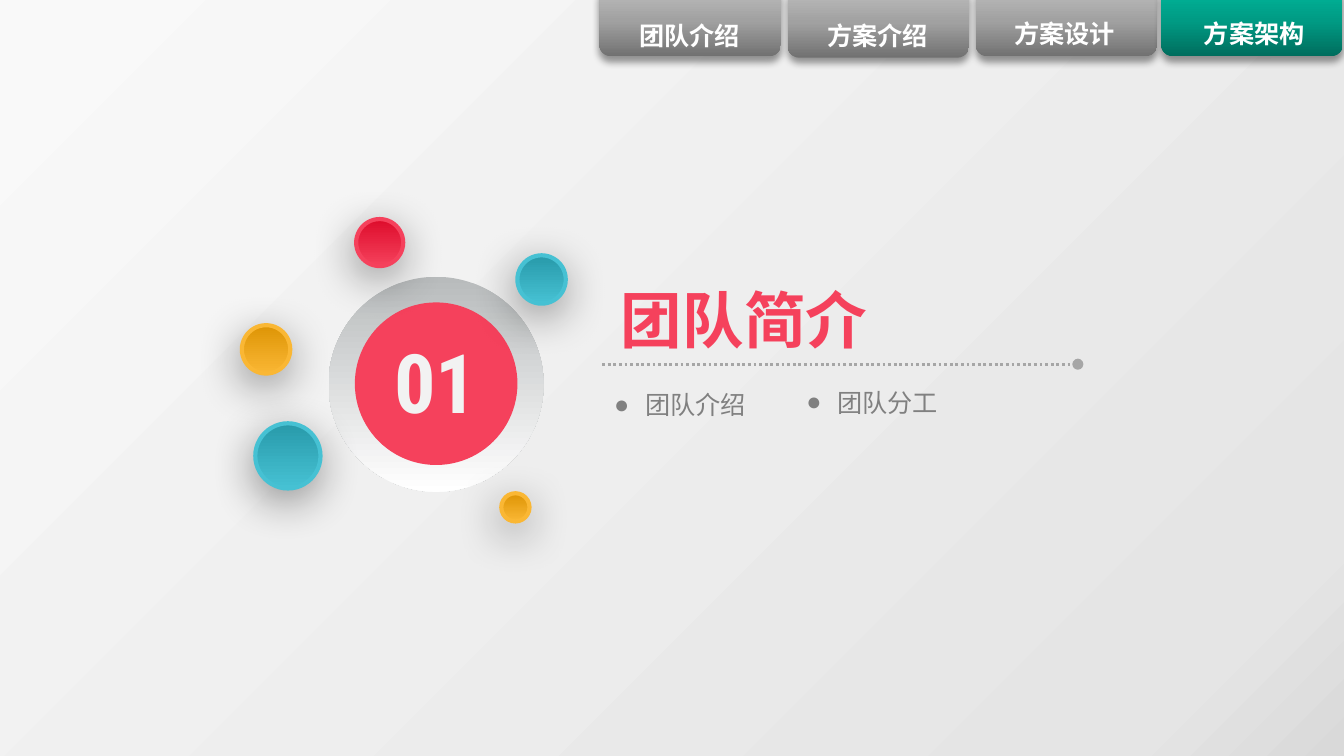
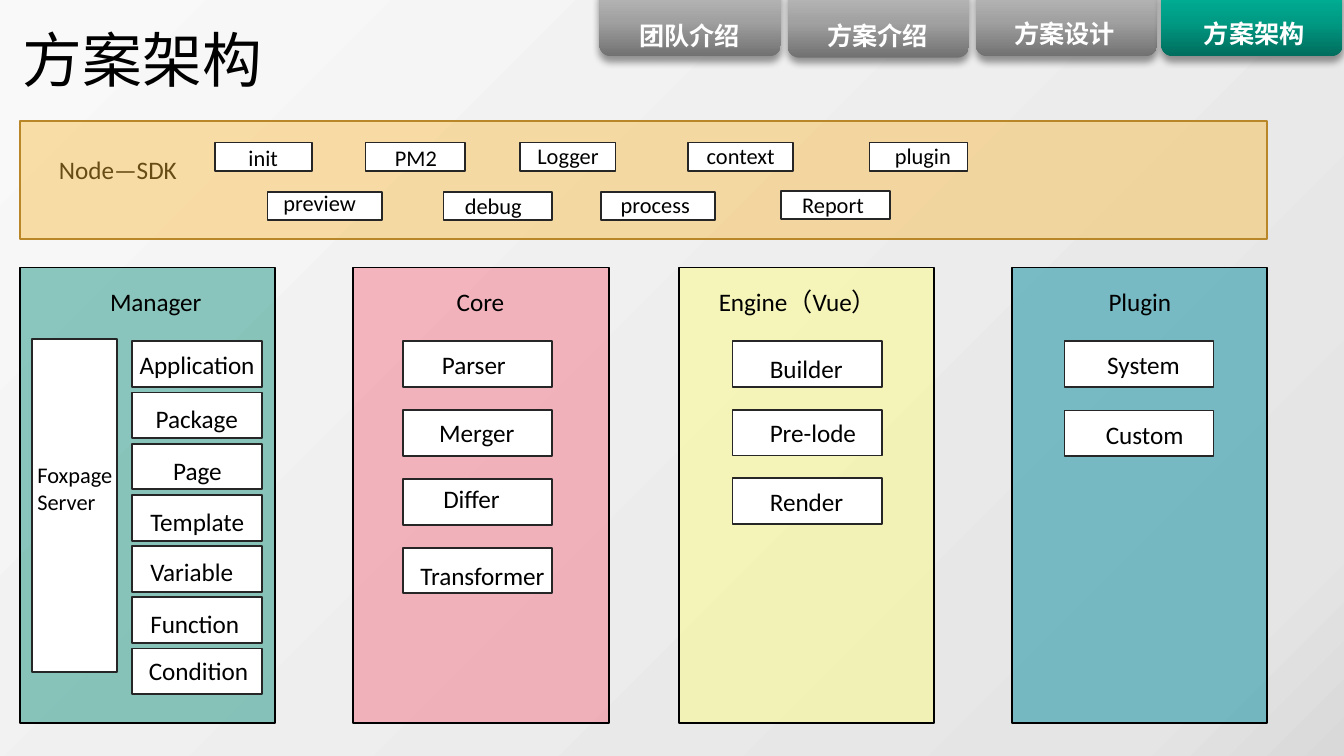
"""Build a section opener and an architecture overview that share tabs and backdrop."""
from lxml.etree import SubElement
from pptx import Presentation
from pptx.dml.color import RGBColor
from pptx.enum.dml import MSO_LINE_DASH_STYLE as Dash
from pptx.enum.shapes import MSO_CONNECTOR as Connector, MSO_SHAPE as Shape
from pptx.enum.text import MSO_ANCHOR as Anchor, MSO_AUTO_SIZE as AutoSize, PP_ALIGN as Align
from pptx.oxml.ns import qn
from pptx.util import Inches, Pt

SLIDE_WIDTH, SLIDE_HEIGHT = Inches(10), Inches(5.625)
CELL = SLIDE_WIDTH / 100
CJK_FONT, LATIN_FONT, NUMBER_FONT = "Noto Sans CJK SC", "Calibri", "Roboto Condensed"
BLACK, WHITE, INK, GREY = "000000", "FFFFFF", "262626", "808080"
RED, YELLOW, CYAN = ("DD0C2B", "F5415C"), ("DD9405", "FAB734"), ("289AAA", "46C1D3")
BACKDROP = [(0, "D9D9D9"), (11, "E5E5E5"), (99, "F9F9F9")]
TAB_GREY = [(0, "717171"), (50, "A1A1A1"), (100, "BFBFBF")]
TAB_GREEN = [(0, "006D5D"), (50, "009B84"), (100, "00B89C")]
TAB_SHADOW, BALL_SHADOW = (4, 3, 90), (24, 6, 100)

TABS = [
    ("团队介绍", 44.6, -1.1, 46.6, 1, TAB_GREY),
    ("方案介绍", 58.6, -1, 60.6, 1, TAB_GREY),
    ("方案设计", 72.6, -1.1, 74.5, 0.9, TAB_GREY),
    ("方案架构", 86.4, -1.1, 88.6, 0.9, TAB_GREEN),
]
BALLS = [
    (19, 31.5, 4.85, CYAN),
    (18, 24.2, 3.6, YELLOW),
    (26.5, 16.3, 3.5, RED),
    (38.5, 19, 3.6, CYAN),
    (37.3, 36.7, 2.1, YELLOW),
]
SDK_MODULES = [
    ("init", 16, 10.6, 7.2, 17.5, 10.2),
    ("PM2", 27.2, 10.6, 7.4, 28.4, 10.2),
    ("Logger", 38.7, 10.6, 7.1, 39, 10.1),
    ("context", 51.2, 10.6, 7.8, 51.6, 10.1),
    ("plugin", 64.7, 10.6, 7.3, 65.6, 10.1),
    ("preview", 19.9, 14.3, 8.5, 20.1, 13.6),
    ("debug", 33, 14.3, 8.1, 33.6, 13.8),
    ("process", 44.7, 14.3, 8.5, 45.2, 13.7),
    ("Report", 58.1, 14.2, 8.1, 58.7, 13.7),
]
MANAGER_PARTS = [
    ("Application", 9.4, 25.5, 10.6),
    ("Package", 10.6, 29.5, 8.1),
    ("Page", 11.9, 33.4, 5.6),
    ("Template", 10.2, 37.2, 9),
    ("Variable", 10.2, 40.9, 8.2),
    ("Function", 10.2, 44.8, 8.7),
    ("Condition", 10.1, 48.3, 9.4),
]
CORE_PARTS = [
    ("Parser", 31.9, 25.5, 6.8),
    ("Merger", 31.7, 30.6, 7.6),
    ("Differ", 32, 35.5, 6.2),
    ("Transformer", 30.3, 41.2, 11.3),
]
ENGINE_PARTS = [
    ("Builder", 56.3, 25.8, 7.4),
    ("Pre-lode", 56.3, 30.6, 8.4),
    ("Render", 56.3, 35.7, 7.5),
]
PLUGIN_PARTS = [("System", 81.4, 25.5, 7.4), ("Custom", 81.3, 30.7, 7.8)]
COLUMNS = [
    (1.5, "018874", 44, ("Manager", 7.2, 8.8), 9.8, 9.7, 3.81, MANAGER_PARTS),
    (26.3, "F5415C", 35, ("Core", 33, 5.5), 30, 11.1, 5.12, CORE_PARTS),
    (50.5, "FFFF77", 44, ("Engine（Vue）", 52.5, 15.6), 54.5, 11.1, 5.1, ENGINE_PARTS),
    (75.3, "289AAA", 59, ("Plugin", 81.5, 6.7), 79.2, 11.1, 5.15, PLUGIN_PARTS),
]


def color(value):
    """Turn a hex string into a colour."""
    return RGBColor.from_string(value)


def cells(*counts):
    """Turn counts of grid cells into lengths."""
    return [round(count * CELL) for count in counts]


def paint_gradient(owner, fill, stops, angle):
    """Fill with a linear gradient running clockwise by the angle."""
    fill.gradient()
    gradient = next(owner.iter(qn("a:gradFill")))
    stop_list = gradient.find(qn("a:gsLst"))
    for stop in list(stop_list):
        stop_list.remove(stop)
    for position, value in stops:
        stop = SubElement(stop_list, qn("a:gs"), pos=str(position * 1000))
        SubElement(stop, qn("a:srgbClr"), val=value)
    gradient.find(qn("a:lin")).set("ang", str(angle * 60000))


def add_shadow(shape, blur, distance, angle):
    """Give a shape a soft black shadow of 40 percent."""
    effects = shape._element.spPr.find(qn("a:effectLst"))
    outer = SubElement(effects, qn("a:outerShdw"), blurRad=str(Pt(blur)), dist=str(Pt(distance)),
                       dir=str(angle * 60000), algn="ctr", rotWithShape="0")
    black = SubElement(outer, qn("a:srgbClr"), val=BLACK)
    SubElement(black, qn("a:alpha"), val="40000")


def add_figure(slide, kind, box, fill, line=None, weight=1, angle=90, alpha=None):
    """Add a preset shape with a plain or gradient fill."""
    shape = slide.shapes.add_shape(kind, *cells(*box))
    shape.shadow.inherit = False
    if isinstance(fill, str):
        shape.fill.solid()
        shape.fill.fore_color.rgb = color(fill)
    else:
        paint_gradient(shape._element, shape.fill, fill, angle)
    if alpha is not None:
        value = next(shape._element.spPr.iter(qn("a:srgbClr")))
        SubElement(value, qn("a:alpha"), val=str(alpha * 1000))
    if line:
        shape.line.color.rgb = color(line)
        shape.line.width = Pt(weight)
    else:
        shape.line.fill.background()
    return shape


def write(shape, lines, size, font=LATIN_FONT, ink=BLACK, bold=False, wrap=False,
          align=Align.LEFT, insets=(1, 0.5), bullet=None, spacing=None):
    """Write lines of text into a box or placeholder."""
    frame = shape.text_frame
    frame.word_wrap = wrap
    frame.auto_size = AutoSize.NONE
    frame.vertical_anchor = Anchor.TOP
    frame.margin_left, frame.margin_top = cells(*insets)
    frame.margin_right, frame.margin_bottom = cells(*insets)
    for index, text in enumerate(lines):
        paragraph = frame.add_paragraph() if index else frame.paragraphs[0]
        paragraph.alignment = align
        if spacing:
            paragraph.line_spacing = spacing
        if bullet:
            properties = paragraph._p.get_or_add_pPr()
            indent = round(2.3 * CELL)
            properties.set("marL", str(indent))
            properties.set("indent", str(-indent))
            SubElement(properties, qn("a:buFont"), typeface="Arial")
            SubElement(properties, qn("a:buChar"), char=bullet)
        run = paragraph.add_run()
        run.text = text
        run.font.size, run.font.name, run.font.bold = Pt(size), font, bold
        run.font.color.rgb = color(ink)
        if font == CJK_FONT:
            SubElement(run._r.get_or_add_rPr(), qn("a:ea"), typeface=font)


def add_text(slide, box, lines, size, **style):
    """Add a text box with its lines."""
    write(slide.shapes.add_textbox(*cells(*box)), lines, size, **style)


def set_title(slide, box, text, size, **style):
    """Move and format the title placeholder."""
    title = slide.shapes.title
    title.left, title.top, title.width, title.height = cells(*box)
    write(title, [text], size, **style)


def add_module(slide, box):
    """Add a white module box with a dark outline."""
    add_figure(slide, Shape.RECTANGLE, box, WHITE, INK)


def add_base_slide(presentation):
    """Add a title-only slide with the shared backdrop and tabs."""
    slide = presentation.slides.add_slide(presentation.slide_layouts[5])
    paint_gradient(slide._element, slide.background.fill, BACKDROP, 225)
    for text, left, top, text_left, text_top, stops in TABS:
        tab = add_figure(slide, Shape.ROUNDED_RECTANGLE, (left, top, 13.5, 5.3), stops, angle=270)
        add_shadow(tab, *TAB_SHADOW)
        add_text(slide, (text_left, text_top, 9.5, 3.3), [text], 13.5,
                 font=CJK_FONT, ink=WHITE, bold=True)
    return slide


def add_dotted_line(slide, start, end):
    """Add a dotted line that ends in a dot."""
    line = slide.shapes.add_connector(Connector.STRAIGHT, *cells(*start, *end))
    line.line.color.rgb = color("A6A6A6")
    line.line.width = Pt(1.5)
    line.line.dash_style = Dash.ROUND_DOT
    SubElement(line.line._get_or_add_ln(), qn("a:tailEnd"), type="oval")
    SubElement(line._element.spPr, qn("a:effectLst"))


def build_section(presentation):
    """Build the team section opener."""
    slide = add_base_slide(presentation)
    add_figure(slide, Shape.OVAL, (24.45, 20.6, 16, 16), [(0, "B8BBBC"), (100, WHITE)])
    add_figure(slide, Shape.OVAL, (26.4, 22.5, 12.1, 12.1), RED[1])
    add_text(slide, (28.1, 25.6, 8.7, 6.9), ["01"], 44, font=NUMBER_FONT, ink="F2F2F2",
             bold=True, wrap=True, align=Align.CENTER, spacing=0.8)
    for left, top, size, (dark, light) in BALLS:
        ball = add_figure(slide, Shape.OVAL, (left, top, size, size),
                          [(0, dark), (100, light)], light, 2.25)
        add_shadow(ball, *BALL_SHADOW)
    add_dotted_line(slide, (44.8, 27.1), (80.2, 27.1))
    set_title(slide, (45.5, 20.6, 19.8, 6.3), "团队简介", 33, font=CJK_FONT, ink=RED[1],
              bold=True, insets=(0.7, 0.4))
    for text, left, top in [("团队介绍", 45, 28.6), ("团队分工", 59.3, 28.4)]:
        add_text(slide, (left, top, 11.3, 3), [text], 13.5, font=CJK_FONT, ink=GREY,
                 insets=(0.7, 0.4), bullet="●")


def add_column(slide, left, fill, alpha, heading, part_left, part_width, step, parts):
    """Add a layer column with its heading and parts."""
    add_figure(slide, Shape.RECTANGLE, (left, 19.9, 19, 33.9), fill, BLACK, alpha=alpha)
    text, text_left, text_width = heading
    add_text(slide, (text_left, 20.8, text_width, 3.3), [text], 13.5)
    for index, (name, name_left, name_top, name_width) in enumerate(parts):
        add_module(slide, (part_left, 25.4 + index * step, part_width, 3.4))
        add_text(slide, (name_left, name_top, name_width, 3.3), [name], 13.5)


def build_architecture(presentation):
    """Build the architecture overview."""
    slide = add_base_slide(presentation)
    set_title(slide, (0.7, 1.2, 21.8, 6.4), "方案架构", 32, wrap=True)
    add_text(slide, (3.4, 11, 11.1, 3.3), ["Node—SDK"], 13.5, wrap=True)
    add_figure(slide, Shape.RECTANGLE, (1.5, 9, 92.8, 8.8), YELLOW[1], "B98727", alpha=42)
    for name, left, top, width, name_left, name_top in SDK_MODULES:
        add_module(slide, (left, top, width, 2.1))
        add_text(slide, (name_left, name_top, width, 3), [name], 12, wrap=True)
    for column in COLUMNS:
        add_column(slide, *column)
    add_module(slide, (2.4, 25.2, 6.3, 24.8))
    add_text(slide, (1.8, 33.8, 7.6, 5), ["Foxpage", "Server"], 12)


def main():
    """Build and save the presentation."""
    presentation = Presentation()
    presentation.slide_width, presentation.slide_height = SLIDE_WIDTH, SLIDE_HEIGHT
    build_section(presentation)
    build_architecture(presentation)
    presentation.save("out.pptx")


if __name__ == "__main__":
    main()
